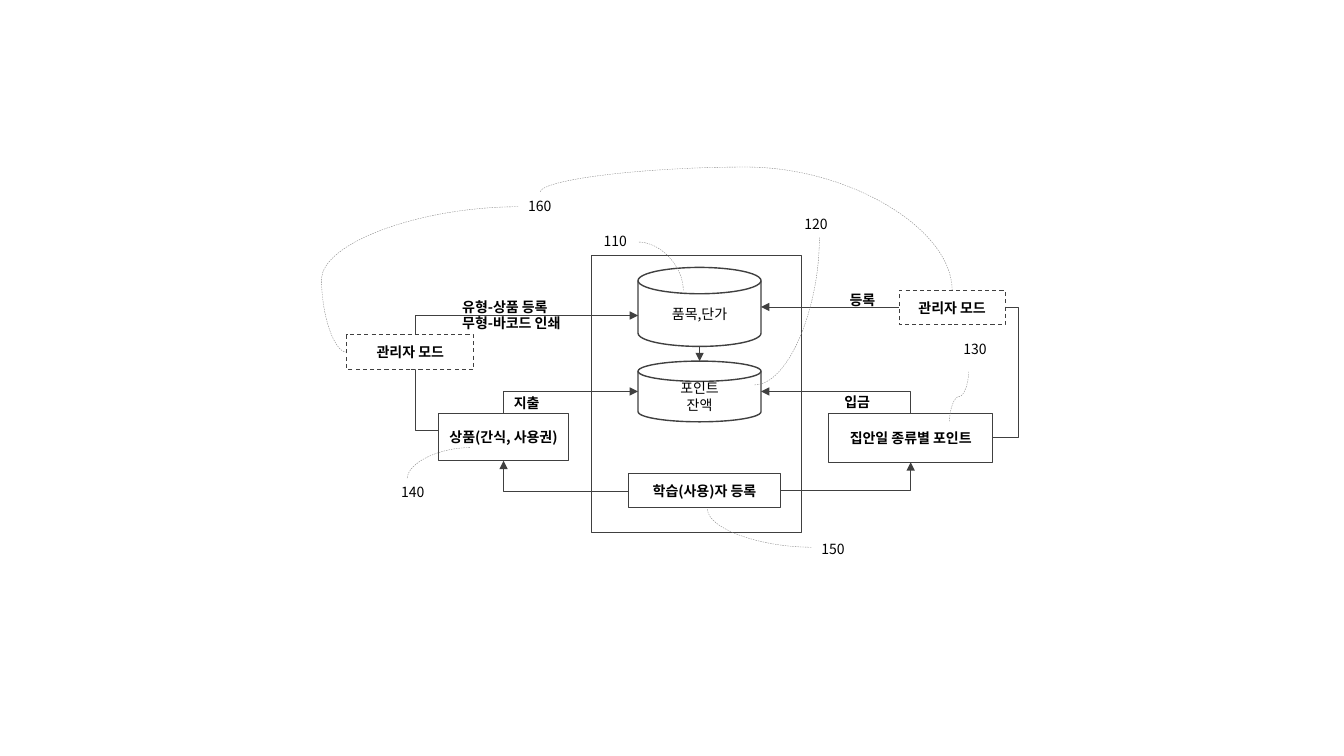
from lxml import etree
from pptx import Presentation
from pptx.dml.color import RGBColor
from pptx.enum.dml import MSO_LINE
from pptx.enum.shapes import MSO_CONNECTOR, MSO_SHAPE
from pptx.enum.text import MSO_ANCHOR, MSO_AUTO_SIZE, PP_ALIGN
from pptx.oxml.ns import qn
from pptx.util import Cm, Pt

RECT = MSO_SHAPE.RECTANGLE
DISK = MSO_SHAPE.FLOWCHART_MAGNETIC_DISK
ELBOW = MSO_CONNECTOR.ELBOW
CURVE = MSO_CONNECTOR.CURVE
STRAIGHT = MSO_CONNECTOR.STRAIGHT
DASH = MSO_LINE.DASH
CENTER = PP_ALIGN.CENTER
LEFT_ALIGN = PP_ALIGN.LEFT
MIDDLE = MSO_ANCHOR.MIDDLE
GROW = MSO_AUTO_SIZE.SHAPE_TO_FIT_TEXT
TOP, LEFT, BOTTOM, RIGHT = range(4)

FONT = "Noto Sans CJK KR"
COLORS = {"ink": "404040", "leader": "808080", "text": "000000", "paper": "FFFFFF"}

BOXES = {
    "user": (RECT, (15.85, 11.94, 3.81, 0.86), ["학습(사용)자 등록"], None),
    "frame": (RECT, (14.91, 6.43, 5.28, 6.99), [], None),
    "balance": (DISK, (16.08, 9.1, 3.1, 1.53), ["포인트", "잔액"], "paper"),
    "goods": (RECT, (11.05, 10.41, 3.28, 1.2), ["상품(간식, 사용권)"], None),
    "items": (DISK, (16.08, 6.74, 3.1, 1.99), ["품목,단가"], "paper"),
    "chores": (RECT, (20.88, 10.41, 4.14, 1.24), ["집안일 종류별 포인트"], "paper"),
    "left admin": (RECT, (8.74, 8.44, 3.2, 0.87), ["관리자 모드"], "paper"),
    "right admin": (RECT, (22.66, 7.32, 2.67, 0.87), ["관리자 모드"], "paper"),
}
ADMINS = ("left admin", "right admin")

ARROWS = [
    (("user", RIGHT), ("chores", BOTTOM), 0, "V", None),
    (("chores", TOP), ("balance", RIGHT), 270, "V", None),
    (("user", LEFT), ("goods", BOTTOM), 180, "", None),
    (("goods", TOP), ("balance", LEFT), 90, "HV", None),
    ((11.05, 10.85), (16.08, 7.95), 180, "H", -0.114),
    (("chores", RIGHT), ("items", RIGHT), 0, "HV", -0.109),
]
LEADERS = [
    ((17.22, 7.32), (16.08, 6.1), 270, "V", None),
    ((19.02, 9.7), (20.65, 5.99), 0, "V", None),
    ((17.83, 12.83), (20.45, 13.79), 270, "H", None),
    ((23.93, 10.62), (24.41, 9.37), 90, "HV", 0.5),
    ((11.84, 11.28), (10.26, 12.07), 180, "V", None),
    (("left admin", LEFT), (13.06, 5.21), 180, "H", -0.147),
    (("right admin", TOP), (13.61, 4.85), 270, "V", 1.259),
]

LABELS = [
    (12.7, 9.83, ["지출"]),
    (21.03, 9.8, ["입금"]),
    (21.16, 7.21, ["등록"]),
    (11.4, 7.39, ["유형-상품 등록", "무형-바코드 인쇄"]),
]
NUMBERS = [
    (14.96, 5.74, ["110"]),
    (20.02, 5.31, ["120"]),
    (24.03, 8.46, ["130"]),
    (9.86, 12.07, ["140"]),
    (20.45, 13.49, ["150"]),
    (13.06, 4.85, ["160"]),
]


def color(name):
    return RGBColor.from_string(COLORS[name])


def write(frame, lines, bold, align):
    for index, line in enumerate(lines):
        para = frame.paragraphs[0] if index == 0 else frame.add_paragraph()
        para.alignment = align
        para.line_spacing = Pt(12)
        span = para.add_run()
        span.text = line
        span.font.size = Pt(10)
        span.font.bold = bold
        span.font.name = FONT
        span.font.color.rgb = color("text")
        east = etree.SubElement(span.font._element, qn("a:ea"))
        east.set("typeface", FONT)


def draw_box(page, name):
    kind, bounds, lines, fill = BOXES[name]
    box = page.shapes.add_shape(kind, *map(Cm, bounds))
    box.shadow.inherit = False
    if fill:
        box.fill.solid()
        box.fill.fore_color.rgb = color(fill)
    else:
        box.fill.background()
    box.line.color.rgb = color("ink")
    box.line.width = Pt(1 if kind == DISK else 0.75)
    if name in ADMINS:
        box.line.dash_style = DASH
    box.text_frame.word_wrap = True
    box.text_frame.vertical_anchor = MIDDLE
    write(box.text_frame, lines, kind == RECT, CENTER)


def spot(place):
    if not isinstance(place[0], str):
        return place
    name, side = place
    left, top, width, height = BOXES[name][1]
    across = {LEFT: 0, RIGHT: 1}.get(side, 0.5)
    down = {TOP: 0, BOTTOM: 1}.get(side, 0.5)
    return left + across * width, top + down * height


def style_line(line, ink, width, arrow):
    line.line.color.rgb = color(ink)
    line.line.width = Pt(width)
    properties = line._element.spPr
    if arrow:
        tail = etree.SubElement(line.line._get_or_add_ln(), qn("a:tailEnd"))
        tail.set("type", "triangle")
    else:
        line.line.dash_style = DASH
    etree.SubElement(properties, qn("a:effectLst"))


def draw_route(page, kind, start, end, turn, flips, bend):
    (x1, y1), (x2, y2) = spot(start), spot(end)
    width, height = abs(x2 - x1), abs(y2 - y1)
    if turn in (90, 270):
        width, height = height, width
    left, top = (x1 + x2 - width) / 2, (y1 + y2 - height) / 2
    line = page.shapes.add_connector(
        kind, Cm(left), Cm(top), Cm(left + width), Cm(top + height))
    transform = line._element.spPr.find(qn("a:xfrm"))
    if turn:
        transform.set("rot", str(turn * 60000))
    for flip in flips:
        transform.set("flip" + flip, "1")
    geometry = line._element.spPr.find(qn("a:prstGeom"))
    if bend is None:
        geometry.set("prst", "bentConnector2" if kind == ELBOW else "curvedConnector2")
    else:
        guide = etree.SubElement(geometry.find(qn("a:avLst")), qn("a:gd"))
        guide.set("name", "adj1")
        guide.set("fmla", f"val {round(bend * 100000)}")
    return line


def draw_label(page, left, top, lines, width, bold):
    height = 0.71 if len(lines) == 1 else 1.17
    box = page.shapes.add_textbox(Cm(left), Cm(top), Cm(width), Cm(height))
    box.text_frame.word_wrap = False
    box.text_frame.auto_size = GROW
    write(box.text_frame, lines, bold, LEFT_ALIGN)


def main():
    deck = Presentation()
    deck.slide_width, deck.slide_height = Cm(33.87), Cm(19.05)
    page = deck.slides.add_slide(deck.slide_layouts[6])
    for name in BOXES:
        if name not in ADMINS:
            draw_box(page, name)
    for route in ARROWS:
        style_line(draw_route(page, ELBOW, *route), "ink", 0.5, True)
    ends = spot(("items", BOTTOM)) + spot(("balance", TOP))
    drop = page.shapes.add_connector(STRAIGHT, *map(Cm, ends))
    style_line(drop, "ink", 0.5, True)
    for route in LEADERS:
        style_line(draw_route(page, CURVE, *route), "leader", 0.25, False)
    for name in ADMINS:
        draw_box(page, name)
    for left, top, lines in LABELS:
        draw_label(page, left, top, lines, 1.22 if len(lines) == 1 else 3.38, True)
    for left, top, lines in NUMBERS:
        draw_label(page, left, top, lines, 1.12, False)
    deck.save("out.pptx")


if __name__ == "__main__":
    main()
